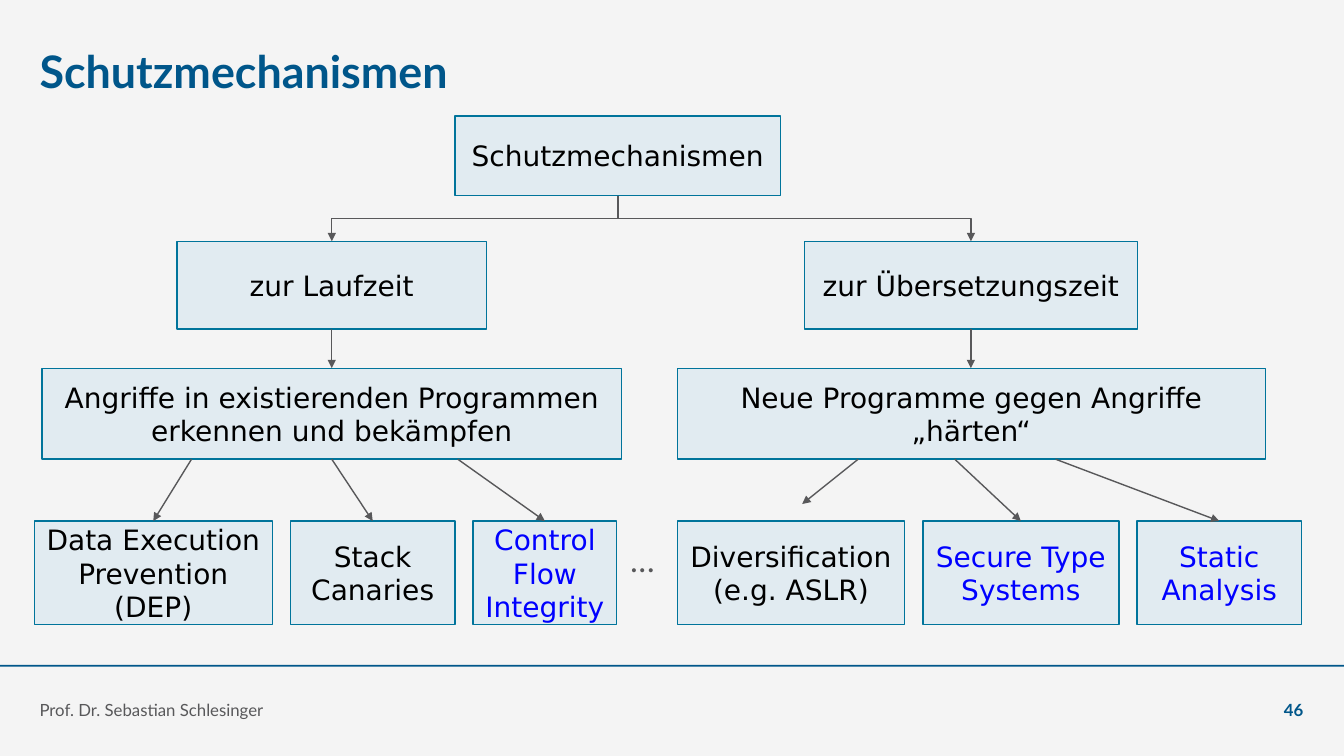
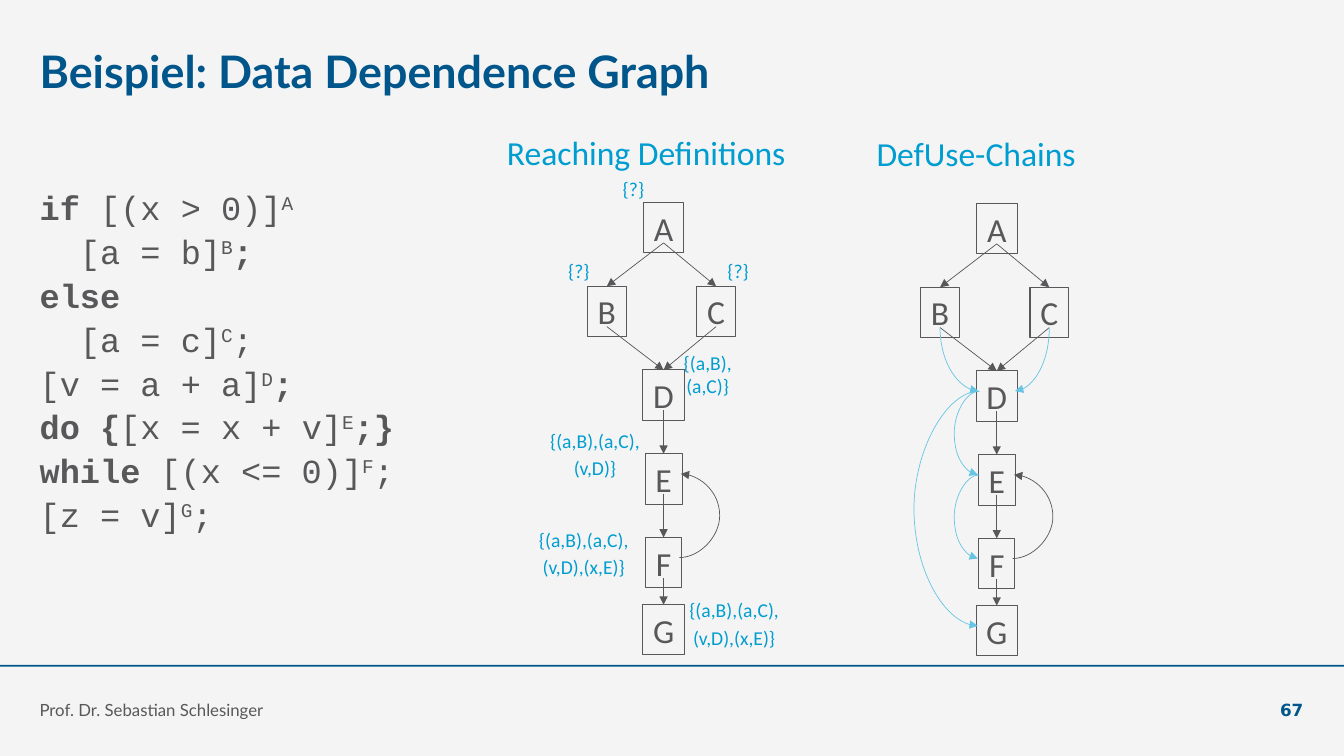
from lxml.etree import SubElement
from pptx import Presentation
from pptx.dml.color import RGBColor
from pptx.enum.shapes import MSO_CONNECTOR as LINE, MSO_SHAPE as SHAPE
from pptx.enum.text import MSO_ANCHOR as ANCHOR, MSO_AUTO_SIZE as AUTO, PP_ALIGN as ALIGN
from pptx.oxml.ns import qn
from pptx.util import Pt

# Colours and fonts shared by the slides
PAPER, NAVY, GREY = "F4F4F4", "00568A", "58585A"
PALE, TEAL, BLACK, LINK = "E1EBF1", "00749B", "000000", "0000FF"
CYAN, SKY = "009DD1", "67C5E4"
HEAD, BODY, WIDE, MONO = "Lato", "Calibri", "DejaVu Sans", "Courier New"
AUTHOR = "Prof. Dr. Sebastian Schlesinger"


def tint(code):
    return RGBColor.from_string(code)


# ---- Text ----
def add_run(para, text, font, size, color, bold=False, sup=False):
    """Add a run; a newline in the text becomes a line break."""
    for i, part in enumerate(text.split("\n")):
        if i:
            para.add_line_break()
        run = para.add_run()
        run.text = part
        run.font.name, run.font.size, run.font.bold = font, Pt(size), bold
        run.font.color.rgb = tint(color)
        if sup:
            run.font._element.set("baseline", "30000")


def set_frame(frame, anchor=ANCHOR.TOP, pad=(7.2, 3.6), wrap=True):
    frame.word_wrap = wrap
    frame.auto_size = AUTO.NONE
    frame.vertical_anchor = anchor
    frame.margin_left = frame.margin_right = Pt(pad[0])
    frame.margin_top = frame.margin_bottom = Pt(pad[1])


def add_text(shapes, box, lines, font, size, color, align=ALIGN.CENTER,
             bold=False, **frame_args):
    frame = shapes.add_textbox(*map(Pt, box)).text_frame
    set_frame(frame, **frame_args)
    for i, line in enumerate(lines):
        para = frame.add_paragraph() if i else frame.paragraphs[0]
        para.alignment = align
        para.space_before = Pt(0.2 * size if i else 0)
        add_run(para, line, font, size, color, bold)


# ---- Boxes and lines ----
def add_box(shapes, box, text, font, size, color, edge, width, fill=None, wrap=True):
    shape = shapes.add_shape(SHAPE.RECTANGLE, *map(Pt, box))
    shape.shadow.inherit = False
    if fill:
        shape.fill.solid()
        shape.fill.fore_color.rgb = tint(fill)
    else:
        shape.fill.background()
    shape.line.color.rgb = tint(edge)
    shape.line.width = Pt(width)
    set_frame(shape.text_frame, ANCHOR.MIDDLE, wrap=wrap)
    para = shape.text_frame.paragraphs[0]
    para.alignment = ALIGN.CENTER
    add_run(para, text, font, size, color)


def add_arrow(shapes, start, end, color, width, kind=LINE.STRAIGHT):
    arrow = shapes.add_connector(kind, *map(Pt, (*start, *end)))
    arrow.line.color.rgb = tint(color)
    arrow.line.width = Pt(width)
    props = arrow._element.spPr
    SubElement(props.find(qn("a:ln")), qn("a:tailEnd"), type="triangle")
    SubElement(props, qn("a:effectLst"))
    return arrow


def add_drop(shapes, start, end, color, width, kind, preset):
    """Arrow that leaves its start downwards, then turns to the side."""
    (x1, y1), (x2, y2) = start, end
    mid_x, mid_y = (x1 + x2) / 2, (y1 + y2) / 2
    half_w, half_h = abs(y2 - y1) / 2, abs(x2 - x1) / 2
    arrow = add_arrow(shapes, (mid_x - half_w, mid_y - half_h),
                      (mid_x + half_w, mid_y + half_h), color, width, kind)
    props = arrow._element.spPr
    turn = props.find(qn("a:xfrm"))
    turn.set("rot", str((90 if x2 < x1 else 270) * 60000))
    if x2 > x1:
        turn.set("flipH", "1")
    props.find(qn("a:prstGeom")).set("prst", preset)


def add_loop(shapes, x, top, end, bulge, color):
    """Curved arrow between two heights, bulging to the left or right."""
    step = 1 if bulge > 0 else -1
    arrow = add_arrow(shapes, (x, top), (x + step, end), color, 0.5, LINE.CURVE)
    geom = arrow._element.spPr.find(qn("a:prstGeom"))
    SubElement(geom.find(qn("a:avLst")), qn("a:gd"), name="adj1",
               fmla=f"val {abs(bulge) * 100000}")


# ---- Shared slide frame ----
def new_slide(deck, title, number, font):
    slide = deck.slides.add_slide(deck.slide_layouts[5])
    shapes = slide.shapes
    # Title
    head = shapes.title
    head.left, head.top, head.width, head.height = map(Pt, (28.3, 31.2, 600, 45.4))
    set_frame(head.text_frame, pad=(0, 0))
    para = head.text_frame.paragraphs[0]
    para.alignment = ALIGN.LEFT
    add_run(para, title, HEAD, 32, NAVY, True)
    # Footer
    rule = shapes.add_shape(SHAPE.RECTANGLE, 0, Pt(474.9), deck.slide_width, Pt(1.4))
    rule.shadow.inherit = False
    rule.fill.solid()
    rule.fill.fore_color.rgb = tint(NAVY)
    rule.line.fill.background()
    foot = dict(anchor=ANCHOR.BOTTOM, pad=(0, 0))
    add_text(shapes, (28.3, 486, 662, 28), [AUTHOR], HEAD, 12, GREY, ALIGN.LEFT, **foot)
    add_text(shapes, (866, 486, 65, 28), [number], font, 12, NAVY, ALIGN.RIGHT,
             True, **foot)
    return shapes


# ---- Slide 1: tree of mechanisms ----
def add_card(shapes, box, text, color=BLACK):
    add_box(shapes, box, text, WIDE, 20, color, TEAL, 1, PALE)


def add_branch(shapes, root, axis, kind, goal, left, leaves, starts, first_end=None):
    """One half of the tree; kind and goal are (text, left, width)."""
    kind_top, goal_top, leaf_top, gap = 172.4, 263, 372.2, 13
    kind_h, goal_h, leaf_h = 62.6, 65, 74
    add_card(shapes, (kind[1], kind_top, kind[2], kind_h), kind[0])
    add_card(shapes, (goal[1], goal_top, goal[2], goal_h), goal[0])
    add_drop(shapes, root, (axis, kind_top), GREY, 1, LINE.ELBOW, "bentConnector3")
    add_arrow(shapes, (axis, kind_top + kind_h), (axis, goal_top), GREY, 1)
    for i, (text, width, color) in enumerate(leaves):
        add_card(shapes, (left, leaf_top, width, leaf_h), text, color)
        end = (left + width / 2, leaf_top)
        if i == 0 and first_end:
            end = first_end
        add_arrow(shapes, (starts[i], goal_top + goal_h), end, GREY, 1)
        left += width + gap


def tree_slide(deck):
    shapes = new_slide(deck, "Schutzmechanismen", "46", HEAD)
    add_card(shapes, (325, 82.8, 232.6, 56.9), "Schutzmechanismen")
    root = (441.3, 139.7)
    add_branch(shapes, root, 237,
               ("zur Laufzeit", 126.5, 221),
               ("Angriffe in existierenden Programmen erkennen und bekämpfen", 30, 414),
               24.5,
               [("Data Execution Prevention (DEP)", 170, BLACK),
                ("Stack Canaries", 117.5, BLACK),
                ("Control Flow Integrity", 102.5, LINK)],
               (136.8, 237, 327))
    add_branch(shapes, root, 693.5,
               ("zur Übersetzungszeit", 574.5, 238),
               ("Neue Programme gegen Angriffe „härten“", 483.8, 420),
               483.8,
               [("Diversification\n(e.g. ASLR)", 162.4, BLACK),
                ("Secure Type Systems", 140, LINK),
                ("Static Analysis", 117.5, LINK)],
               (613, 682, 754), first_end=(573, 360))
    add_text(shapes, (444, 381.6, 30, 36), ["…"], BODY, 24, GREY, wrap=False)


# ---- Slide 2: code and graphs ----
# Parts of each code line: text, style (b bold, s superscript)
CODE = [
    [("if ", "b"), ("[(x > 0)]", ""), ("A", "s")],
    [("  [a = b]", ""), ("B", "s"), (";", "b")],
    [("else", "b")],
    [("  [a = c]", ""), ("C", "s"), (";", "")],
    [("[v = a + a]", ""), ("D", "s"), (";", "b")],
    [("do {", "b"), ("[x = x + v]", ""), ("E", "s"), (";}", "b")],
    [("while ", "b"), ("[(x <= 0)]", ""), ("F", "s"), (";", "")],
    [("[z = v]", ""), ("G", "s"), (";", "")],
]
ROW = 59.8
# Node: centre and top relative to the graph, width
NODES = {"A": (0, 0, 29), "B": (-40.5, ROW, 27.5), "C": (37.5, ROW, 27.5),
         "D": (0, 2 * ROW, 29.5), "E": (0, 3 * ROW, 26.5),
         "F": (0, 4 * ROW, 26), "G": (0, 287.2, 29.5)}
EDGES = ("AB", "AC", "BD", "CD", "DE", "EF", "FG")
OUT, SIDE = 28.8, 14.4  # heights below a node's top where arrows attach


def add_code(shapes, box):
    frame = shapes.add_textbox(*map(Pt, box)).text_frame
    set_frame(frame, pad=(0, 0))
    for i, line in enumerate(CODE):
        para = frame.add_paragraph() if i else frame.paragraphs[0]
        para.line_spacing = 1.08
        para.space_before = Pt(0.2 if i else 0)
        for text, style in line:
            add_run(para, text, MONO, 24, GREY, style == "b", style == "s")


def add_graph(slide_shapes, x, y):
    shapes = slide_shapes.add_group_shape().shapes
    for name, (mid, top, width) in NODES.items():
        add_box(shapes, (x + mid - width / 2, y + top, width, 36), name,
                BODY, 24, GREY, GREY, 0.75, wrap=False)
    for a, b in EDGES:
        add_arrow(shapes, (x + NODES[a][0], y + NODES[a][1] + OUT),
                  (x + NODES[b][0], y + NODES[b][1]), GREY, 0.5)
    add_loop(shapes, x + 11.3, y + NODES["F"][1] + SIDE,
             y + NODES["E"][1] + SIDE, 29, GREY)


def add_chains(shapes, x, y):
    # Definitions in B and C reach the sides of D
    for name, side in (("B", -13), ("C", 13)):
        mid, top, _ = NODES[name]
        add_drop(shapes, (x + mid, y + top + OUT),
                 (x + side, y + NODES["D"][1] + SIDE), SKY, 0.5,
                 LINE.CURVE, "curvedConnector2")
    # Uses further down, along the left side
    for a, b, bulge in (("D", "E", -18), ("E", "F", -18), ("D", "G", -47)):
        add_loop(shapes, x - 12.5, y + NODES[a][1] + SIDE,
                 y + NODES[b][1] + SIDE, bulge, SKY)


def add_sets(shapes, x, y):
    # Label: centre and top relative to the graph, width, lines
    labels = [(-21.5, -22, 30, ["{?}"]), (-60.5, 37, 30, ["{?}"]),
              (53.3, 37, 30, ["{?}"]), (31.5, 102.3, 49, ["{(a,B),\n(a,C)}"]),
              (-49, 158, 95, ["{(a,B),(a,C),", "(v,D)}"]),
              (-57, 228.6, 79, ["{(a,B),(a,C),", "(v,D),(x,E)}"]),
              (50.4, 279, 79, ["{(a,B),(a,C),", "(v,D),(x,E)}"])]
    for mid, top, width, lines in labels:
        add_text(shapes, (x + mid - width / 2, y + top, width, 42), lines,
                 BODY, 14, CYAN, wrap=False)


def graph_slide(deck):
    shapes = new_slide(deck, "Beispiel: Data Dependence Graph", "67", WIDE)
    add_code(shapes, (28.3, 131.5, 300, 260))
    for head, left, x, y, extra in (
            ("Reaching Definitions", 355, 474, 144.7, add_sets),
            ("DefUse-Chains", 619, 712, 145.4, add_chains)):
        add_text(shapes, (left, y - 54, 237, 36), [head], BODY, 24, CYAN, ALIGN.LEFT)
        add_graph(shapes, x, y)
        extra(shapes, x, y)


def main():
    deck = Presentation()
    deck.slide_width, deck.slide_height = Pt(960), Pt(540)
    paper = deck.slide_master.background.fill
    paper.solid()
    paper.fore_color.rgb = tint(PAPER)
    tree_slide(deck)
    graph_slide(deck)
    deck.save("out.pptx")


if __name__ == "__main__":
    main()
